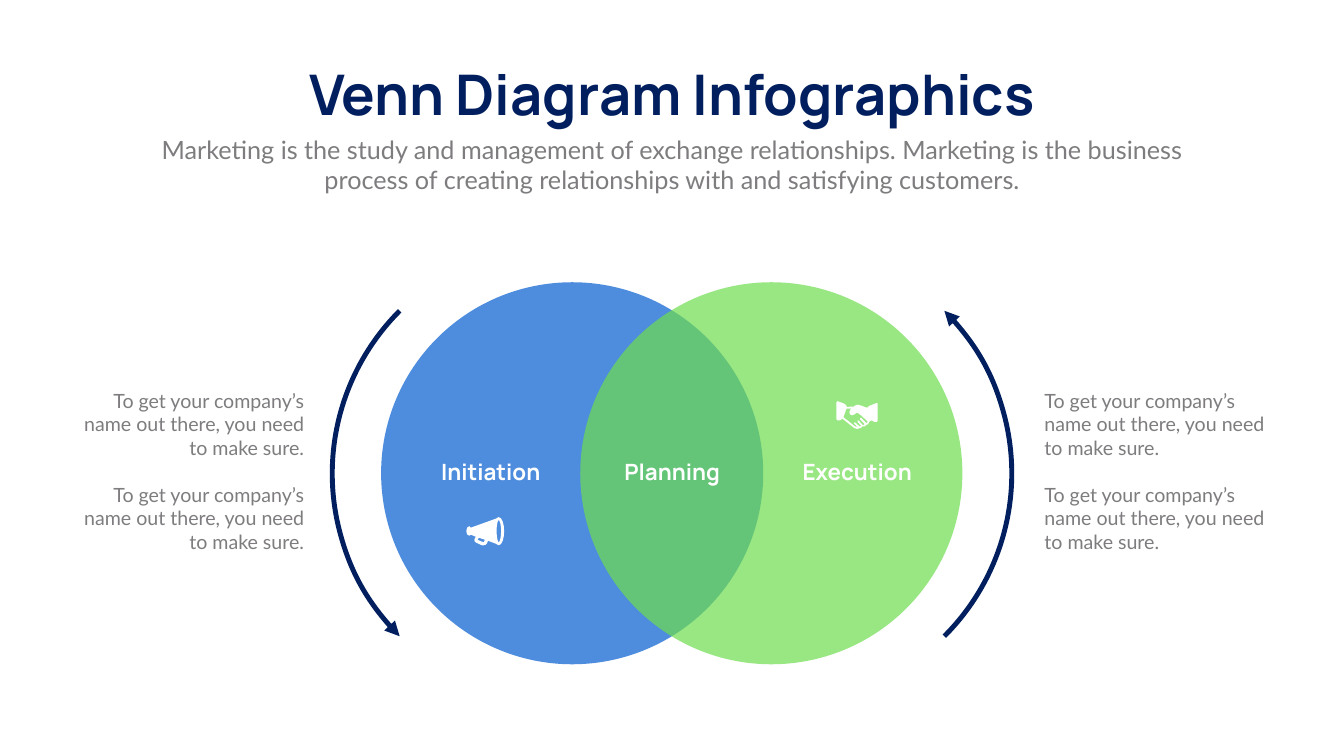
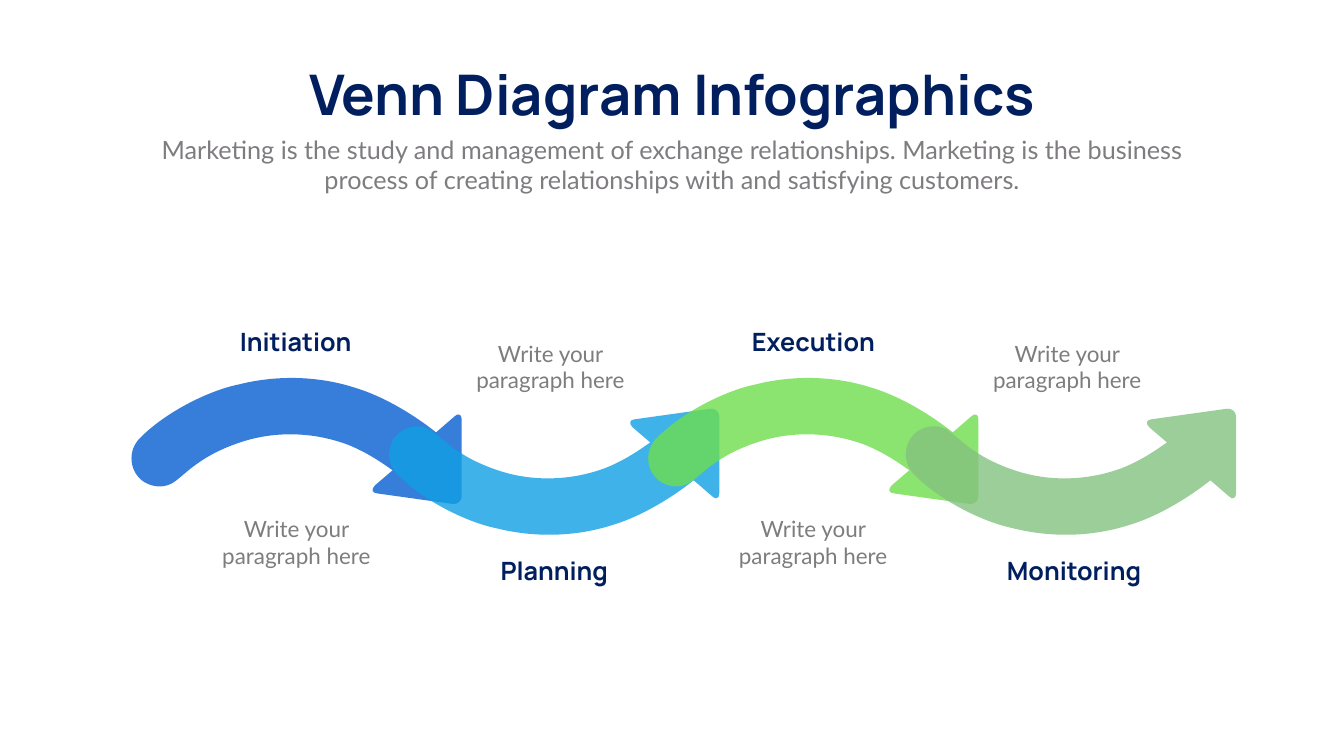
from lxml import etree
from pptx import Presentation
from pptx.dml.color import RGBColor
from pptx.enum.shapes import MSO_SHAPE as Shape
from pptx.enum.text import MSO_ANCHOR as Anchor, MSO_AUTO_SIZE as AutoSize, PP_ALIGN as Align
from pptx.oxml.ns import qn
from pptx.util import Inches, Pt

COLORS = {
    "navy": "011F5E",
    "gray": "7E7C7F",
    "white": "FFFFFF",
    "blue": "045ED0",
    "sky": "109FE4",
    "lime": "6EDD4D",
    "sage": "84C280",
}
HEADING_FONT, BODY_FONT = "Manrope", "Lato"
SLIDE_WIDTH, SLIDE_HEIGHT = 26.66, 15
TITLE = "Venn Diagram Infographics"
SUBTITLE = (
    "Marketing is the study and management of exchange relationships. "
    "Marketing is the business process of creating relationships with "
    "and satisfying customers."
)
SIDE_NOTE = "To get your company’s name out there, you need to make sure."
STEP_NOTE = "Write your paragraph here"

# Each outline: width, height and path in hundredths of an inch
WAVE_ARROW = (656, 250, """
M 637 250 C 647 251 655 244 655 234 L 655 83 C 655 72 648 69 641 76
L 604 108 L 599 104 C 567 79 506 38 442 19 C 377 -2 295 -8 212 13
C 153 25 67 68 17 119 C -9 144 -5 188 26 207 C 42 216 60 218 76 211
C 99 202 124 159 212 129 C 277 106 355 105 428 132 C 459 144 488 162 509 177
L 518 183 L 483 213 C 475 221 477 228 487 229 Z
""")
MEGAPHONE = (75, 57, """
M 64 0 C 62 0 60 1 59 3 L 9 21 C 8 19 7 18 6 18 C 2 18 0 23 0 28
C 0 33 2 37 6 37 C 7 37 8 37 9 35 L 19 39 L 17 42 C 16 43 16 44 16 45
C 16 48 17 50 20 51 L 31 56 C 32 56 33 56 34 56 C 37 56 39 55 41 52
L 43 47 L 59 53 C 60 55 62 56 64 56 C 71 56 75 42 75 28 C 75 14 71 0 64 0 Z
M 35 49 L 34 50 L 22 45 L 25 41 L 37 45 Z
M 64 50 C 63 50 60 42 60 28 C 60 13 63 6 64 6 C 66 6 69 13 69 28
C 69 42 66 50 64 50 Z
""")
HANDSHAKE = (82, 54, """
M 81 4 L 79 4 L 66 9 L 62 12 L 61 13 C 59 13 55 11 50 9 C 45 6 40 6 34 11
L 26 11 L 21 12 L 20 9 L 16 5 L 2 0 L 0 2 L 0 36 L 2 38 L 7 38 L 12 35
L 15 37 L 20 41 L 35 53 L 41 55 L 45 54 L 49 53 L 52 50 L 57 50 L 59 47
L 63 46 L 65 41 L 70 38 L 75 41 L 80 41 L 82 39 L 82 5 Z
M 61 43 L 59 43 L 49 33 L 47 33 L 47 36 L 56 45 L 55 47 L 52 47 L 44 38
L 42 38 L 42 41 L 49 49 L 48 50 L 46 50 L 37 42 L 35 42 L 35 44 L 42 51
L 37 50 L 22 38 L 14 32 L 20 15 L 26 15 L 30 14 C 28 16 25 20 26 23
C 26 25 27 28 31 28 C 33 28 37 26 39 24 L 42 23 L 50 29 L 62 40 Z
""")
# Path command: XML tag and number of points
PATH_COMMANDS = {"M": ("a:moveTo", 1), "L": ("a:lnTo", 1), "C": ("a:cubicBezTo", 3), "Z": ("a:close", 0)}


def rgb(color):
    return RGBColor.from_string(COLORS[color])


def fill_shape(shape, color, opacity=100):
    shape.shadow.inherit = False
    shape.line.fill.background()
    shape.fill.solid()
    shape.fill.fore_color.rgb = rgb(color)
    if opacity < 100:
        tint = shape.fill._xPr.find(qn("a:solidFill"))[0]
        etree.SubElement(tint, qn("a:alpha")).set("val", str(opacity * 1000))


def write_text(shape, paragraphs, size, color, font, align=Align.CENTER, gap=0, wrap=True):
    frame = shape.text_frame
    frame.word_wrap = wrap
    frame.auto_size = AutoSize.SHAPE_TO_FIT_TEXT
    frame.vertical_anchor = Anchor.TOP
    for index, text in enumerate(paragraphs):
        paragraph = frame.add_paragraph() if index else frame.paragraphs[0]
        paragraph.alignment = align
        if index:
            paragraph.space_before = Pt(gap)
        run = paragraph.add_run()
        run.text = text
        run.font.name = font
        run.font.size = Pt(size)
        run.font.bold = font == HEADING_FONT
        run.font.color.rgb = rgb(color)


def add_text(slide, box, paragraphs, size, color, font, **options):
    shape = slide.shapes.add_textbox(*map(Inches, box))
    write_text(shape, paragraphs, size, color, font, **options)


def add_outline(slide, left, top, outline, color, opacity=100, flipped=False):
    """Draw a curved outline; a flipped one is mirrored top to bottom."""
    width, height, commands = outline
    builder = slide.shapes.build_freeform(0, 0, scale=Inches(0.01))
    builder.add_line_segments([(width, height)], close=False)
    shape = builder.convert_to_shape(Inches(left), Inches(top))
    path = next(shape._element.iter(qn("a:path")))
    for segment in list(path):
        path.remove(segment)
    tokens = iter(commands.split())
    for command in tokens:
        tag, point_count = PATH_COMMANDS[command]
        segment = etree.SubElement(path, qn(tag))
        for _ in range(point_count):
            x, y = int(next(tokens)), int(next(tokens))
            point = etree.SubElement(segment, qn("a:pt"))
            point.set("x", str(x))
            point.set("y", str(height - y if flipped else y))
    fill_shape(shape, color, opacity)


def add_header(presentation, title_left, title_width, wrap):
    """Add a slide with the shared title and subtitle."""
    slide = presentation.slides.add_slide(presentation.slide_layouts[5])
    title = slide.shapes.title
    box = (title_left, 1.14, title_width, 1.45)
    title.left, title.top, title.width, title.height = map(Inches, box)
    write_text(title, [TITLE], 80, "navy", HEADING_FONT, wrap=wrap)
    add_text(slide, (2.92, 2.61, 20.82, 1.31), [SUBTITLE], 36, "gray", BODY_FONT)
    return slide


def add_curved_arrow(slide, left, top, rotation):
    size = Inches(9.13)
    arc = slide.shapes.add_shape(Shape.ARC, Inches(left), Inches(top), size, size)
    arc.rotation = rotation
    arc.shadow.inherit = False
    arc.fill.background()
    arc.line.color.rgb = rgb("navy")
    arc.line.width = Pt(7)
    etree.SubElement(arc.line._get_or_add_ln(), qn("a:headEnd")).set("type", "triangle")


def add_venn(slide, left, top):
    diameter = 7.58
    for offset, color in ((0, "blue"), (3.95, "lime")):
        circle = slide.shapes.add_shape(
            Shape.OVAL, Inches(left + offset), Inches(top), Inches(diameter), Inches(diameter))
        fill_shape(circle, color, 70)
    for offset, rotation in ((-0.97, 225), (3.38, 45)):
        add_curved_arrow(slide, left + offset, top - 0.77, rotation)
    add_outline(slide, left + 1.69, top + 4.66, MEGAPHONE, "white")
    add_outline(slide, left + 9.03, top + 2.36, HANDSHAKE, "white")
    for label, offset in (("Initiation", 0.32), ("Planning", 3.92), ("Execution", 7.59)):
        add_text(slide, (left + offset, top + 3.44, 3.71, 0.64), [label], 32, "white", HEADING_FONT)


def add_venn_slide(presentation):
    slide = add_header(presentation, 3.34, 19.98, wrap=True)
    add_venn(slide, 7.56, 5.6)
    for left, align in ((1.27, Align.RIGHT), (20.62, Align.LEFT)):
        add_text(slide, (left, 7.66, 4.86, 3.4), [SIDE_NOTE] * 2, 28, "gray", BODY_FONT,
                 align=align, gap=33.6)


def add_step(slide, left, top, label, label_offset, color, dips):
    """Place one wave arrow; a dipping one has its label below and its note above."""
    arrow_top, label_top, note_top, note_offset = (
        (0.61, 3.47, -0.81, 1.37) if dips else (0, -1.07, 2.68, 1.44))
    add_outline(slide, left, top + arrow_top, WAVE_ARROW, color, 80, flipped=dips)
    add_text(slide, (left + label_offset, top + label_top, 3.71, 0.71), [label],
             36, "navy", HEADING_FONT)
    add_text(slide, (left + note_offset, top + note_top, 3.66, 1.18), [STEP_NOTE],
             32, "gray", BODY_FONT)


def add_wave_slide(presentation):
    slide = add_header(presentation, 5.25, 16.17, wrap=False)
    steps = (("Initiation", 1.4, "blue"), ("Planning", 1.42, "sky"),
             ("Execution", 1.42, "lime"), ("Monitoring", 1.48, "sage"))
    for index, (label, label_offset, color) in enumerate(steps):
        pair, dips = divmod(index, 2)
        left = 2.61 + pair * 10.25 + dips * 5.11
        add_step(slide, left, 7.5, label, label_offset, color, bool(dips))


def main():
    presentation = Presentation()
    presentation.slide_width = Inches(SLIDE_WIDTH)
    presentation.slide_height = Inches(SLIDE_HEIGHT)
    add_venn_slide(presentation)
    add_wave_slide(presentation)
    presentation.save("out.pptx")


if __name__ == "__main__":
    main()
